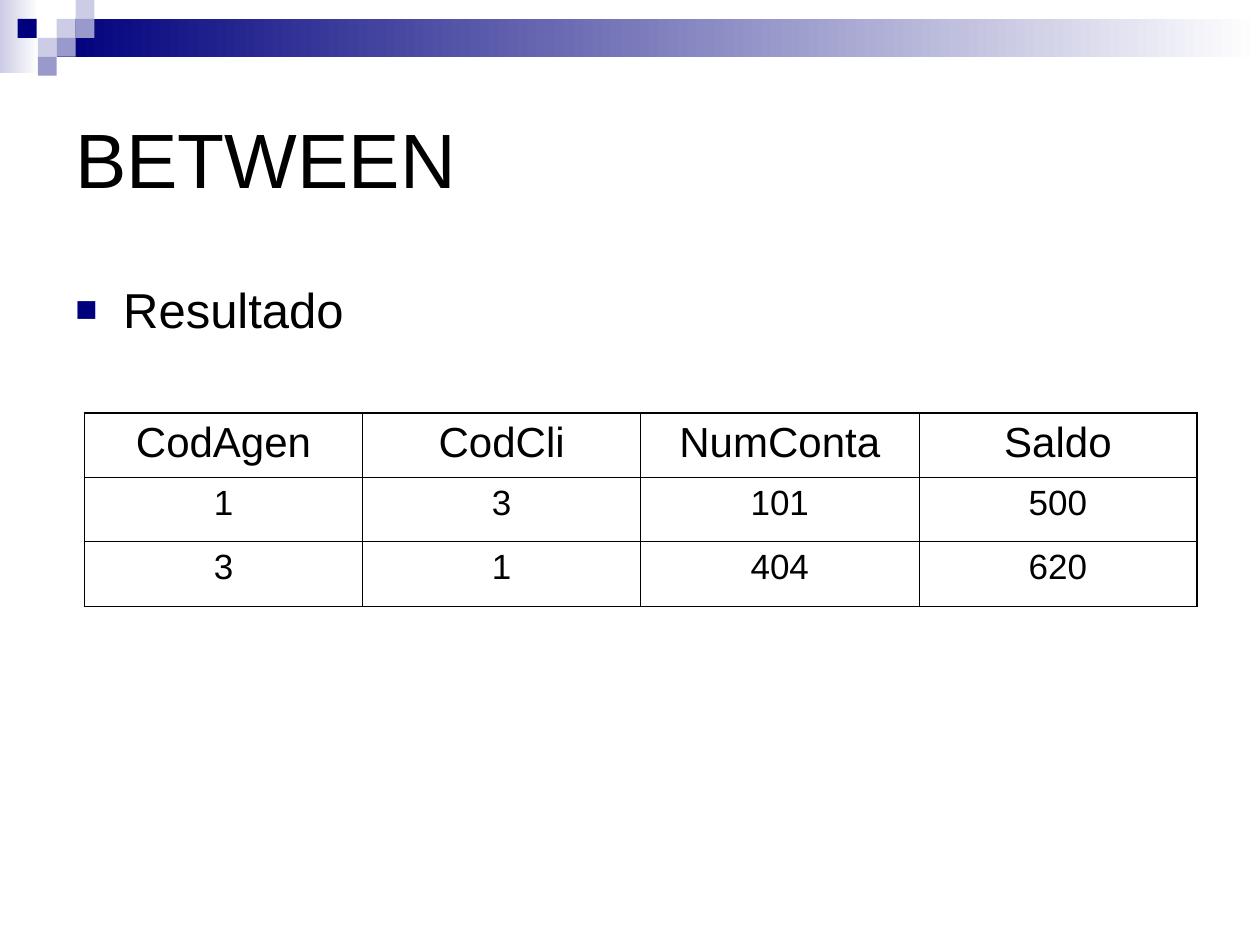
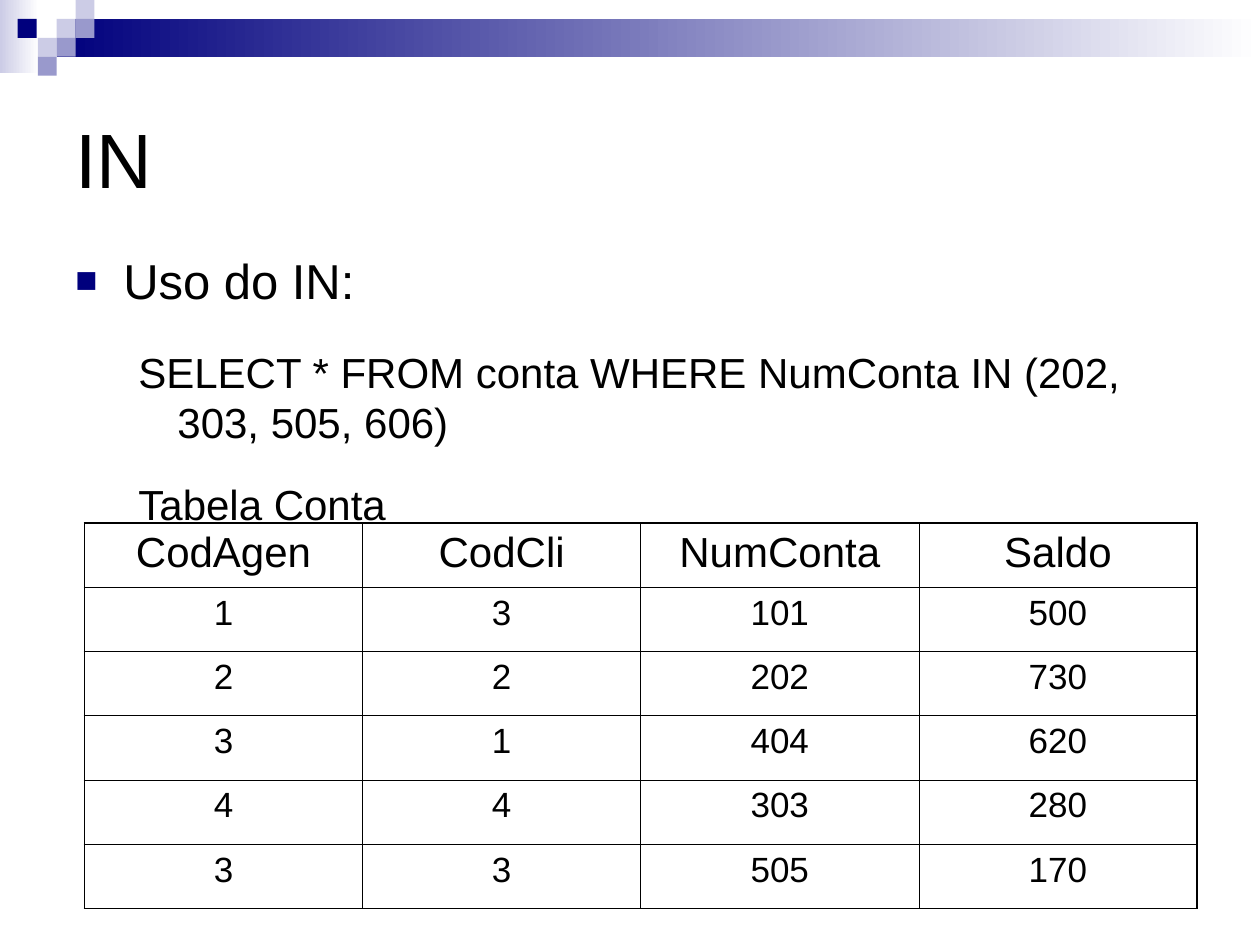
from dataclasses import dataclass

from lxml import etree
from pptx import Presentation
from pptx.dml.color import RGBColor
from pptx.enum.shapes import MSO_SHAPE
from pptx.enum.text import MSO_ANCHOR, PP_ALIGN
from pptx.oxml.ns import qn
from pptx.util import Inches, Pt

RECTANGLE = MSO_SHAPE.RECTANGLE
MIDDLE = MSO_ANCHOR.MIDDLE
CENTER = PP_ALIGN.CENTER


@dataclass(frozen=True)
class Theme:
    font: str = "Arial"
    text: str = "000000"
    white: str = "FFFFFF"
    navy: str = "00007D"
    lilac: str = "9999CC"
    pale: str = "CCCCE6"
    title_size: float = 44
    bullet_size: float = 28
    detail_size: float = 24
    header_size: float = 24
    cell_size: float = 20
    thin_line: float = 0.45
    thick_line: float = 1.08


THEME = Theme()

TILE = 0.15
# column, row and colour of each tile in the corner mosaic
TILES = [
    (3, 1, THEME.pale),
    (4, 0, THEME.pale),
    (4, 1, THEME.lilac),
    (2, 2, THEME.pale),
    (3, 2, THEME.lilac),
    (2, 3, THEME.lilac),
]

TABLE_LEFT = 0.67
TABLE_WIDTH = 8.83
ROW_HEIGHT = 0.51
ACCOUNT_COLUMNS = ["CodAgen", "CodCli", "NumConta", "Saldo"]
BETWEEN_ROWS = [(1, 3, 101, 500), (3, 1, 404, 620)]
ACCOUNT_ROWS = [
    (1, 3, 101, 500),
    (2, 2, 202, 730),
    (3, 1, 404, 620),
    (4, 4, 303, 280),
    (3, 3, 505, 170),
]


def style_runs(p, size):
    for r in p.runs:
        r.font.name = THEME.font
        r.font.size = Pt(size)
        r.font.color.rgb = RGBColor.from_string(THEME.text)


def add_rect(s, left, top, width, height, color, fade_to=None):
    """Draw a plain rectangle, fading left to right when fade_to is given."""
    sp = s.shapes.add_shape(
        RECTANGLE, Inches(left), Inches(top), Inches(width), Inches(height))
    sp.shadow.inherit = False
    sp.line.fill.background()
    if fade_to is None:
        sp.fill.solid()
        sp.fill.fore_color.rgb = RGBColor.from_string(color)
    else:
        sp.fill.gradient()
        sp.fill.gradient_angle = 0
        for stop, stop_color in zip(sp.fill.gradient_stops, (color, fade_to)):
            stop.color.rgb = RGBColor.from_string(stop_color)


def add_header_band(s):
    add_rect(s, 0, 0, 0.31, 0.58, THEME.pale, THEME.white)
    add_rect(s, 0.45, TILE, 9.55, 2 * TILE, THEME.navy, THEME.white)
    add_rect(s, 0.14, TILE, TILE, TILE, THEME.navy)
    for col, row, color in TILES:
        add_rect(s, col * TILE, row * TILE, TILE, TILE, color)


def add_text_box(s, left, top, width, height):
    tf = s.shapes.add_textbox(
        Inches(left), Inches(top), Inches(width), Inches(height)).text_frame
    tf.word_wrap = True
    return tf


def add_title(s, text):
    tf = add_text_box(s, 0.5, 0.5, 9, 1.5)
    tf.vertical_anchor = MIDDLE
    tf.text = text
    style_runs(tf.paragraphs[0], THEME.title_size)


def set_indent(p, margin, first_line):
    pPr = p._p.get_or_add_pPr()
    pPr.set("marL", str(Inches(margin)))
    pPr.set("indent", str(Inches(first_line)))
    return pPr


def add_square_bullet(pPr):
    color = etree.SubElement(pPr, qn("a:buClr"))
    etree.SubElement(color, qn("a:srgbClr"), val=THEME.navy)
    etree.SubElement(pPr, qn("a:buSzPct"), val="75000")
    etree.SubElement(pPr, qn("a:buFont"), typeface=THEME.font)
    etree.SubElement(pPr, qn("a:buChar"), char="■")


def add_body(s, top, width, bullet, details=()):
    """Add a bulleted line, then (text, space before) details below it."""
    tf = add_text_box(s, 0.5, top, width, 4.25)
    tf.text = bullet
    p = tf.paragraphs[0]
    add_square_bullet(set_indent(p, 0.38, -0.38))
    style_runs(p, THEME.bullet_size)
    for text, space_before in details:
        p = tf.add_paragraph()
        p.text = text
        set_indent(p, 0.81, -0.31)
        p.space_before = Pt(space_before)
        style_runs(p, THEME.detail_size)


def set_borders(cell, thick_sides):
    tcPr = cell._tc.get_or_add_tcPr()
    for position, side in enumerate("LRTB"):
        width = THEME.thick_line if side in thick_sides else THEME.thin_line
        ln = etree.Element(qn(f"a:ln{side}"), w=str(Pt(width)))
        fill = etree.SubElement(ln, qn("a:solidFill"))
        etree.SubElement(fill, qn("a:srgbClr"), val=THEME.text)
        tcPr.insert(position, ln)


def add_account_table(s, top, records, thick_bottom=True):
    rows = [ACCOUNT_COLUMNS, *records]
    n_rows, n_cols = len(rows), len(ACCOUNT_COLUMNS)
    table = s.shapes.add_table(
        n_rows, n_cols, Inches(TABLE_LEFT), Inches(top),
        Inches(TABLE_WIDTH), Inches(n_rows * ROW_HEIGHT)).table
    for i, values in enumerate(rows):
        for j, value in enumerate(values):
            cell = table.cell(i, j)
            cell.fill.background()
            cell.text_frame.text = str(value)
            p = cell.text_frame.paragraphs[0]
            p.alignment = CENTER
            style_runs(p, THEME.cell_size if i else THEME.header_size)
            edges = {"L": j == 0, "R": j == n_cols - 1, "T": i == 0,
                     "B": thick_bottom and i == n_rows - 1}
            set_borders(cell, [side for side, outer in edges.items() if outer])


def add_slide(prs, title):
    s = prs.slides.add_slide(prs.slide_layouts[6])
    add_header_band(s)
    add_title(s, title)
    return s


def main():
    prs = Presentation()
    prs.slide_width, prs.slide_height = Inches(10), Inches(7.5)

    s = add_slide(prs, "BETWEEN")
    add_body(s, 2.17, 9.07, "Resultado")
    add_account_table(s, 3.28, BETWEEN_ROWS, thick_bottom=False)

    s = add_slide(prs, "IN")
    add_body(s, 1.94, 8.99, "Uso do IN:", [
        ("SELECT * FROM conta WHERE NumConta IN (202, 303, 505, 606)", 21),
        ("Tabela Conta", 18),
    ])
    add_account_table(s, 4.15, ACCOUNT_ROWS)

    prs.save("out.pptx")


if __name__ == "__main__":
    main()
